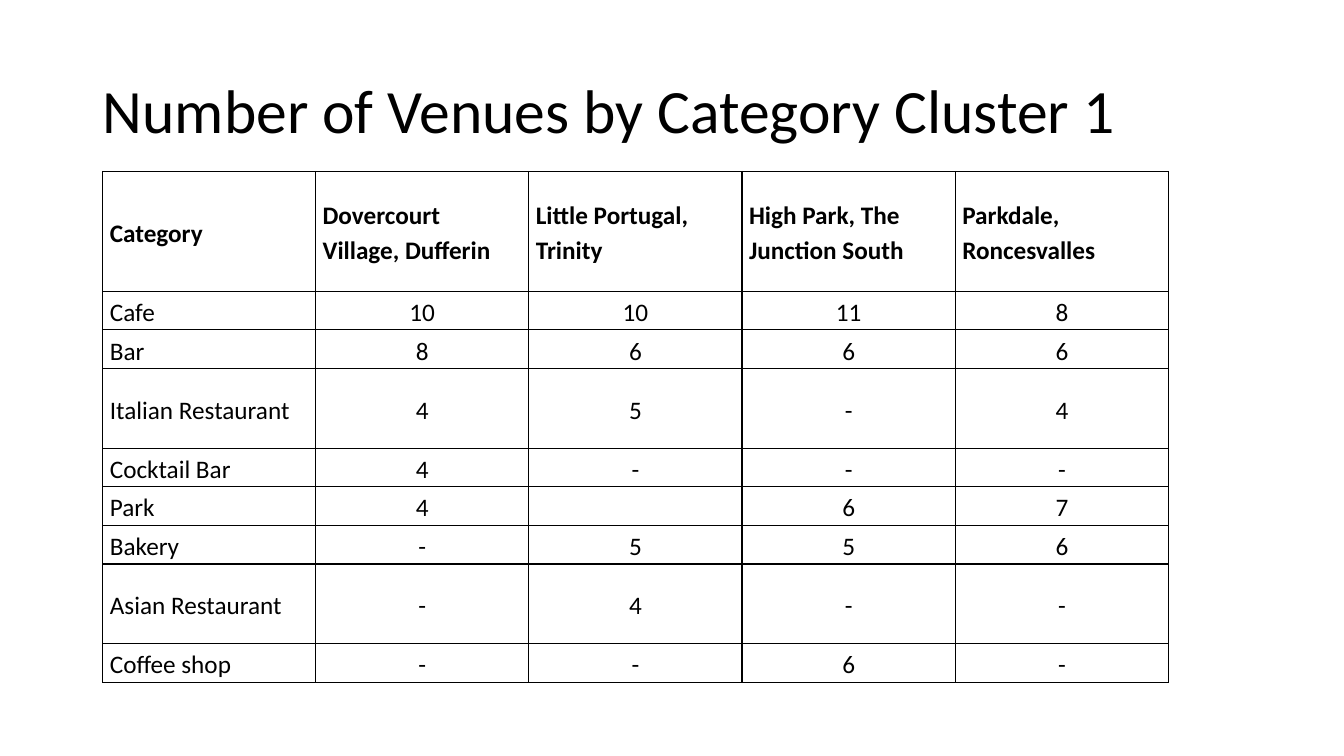
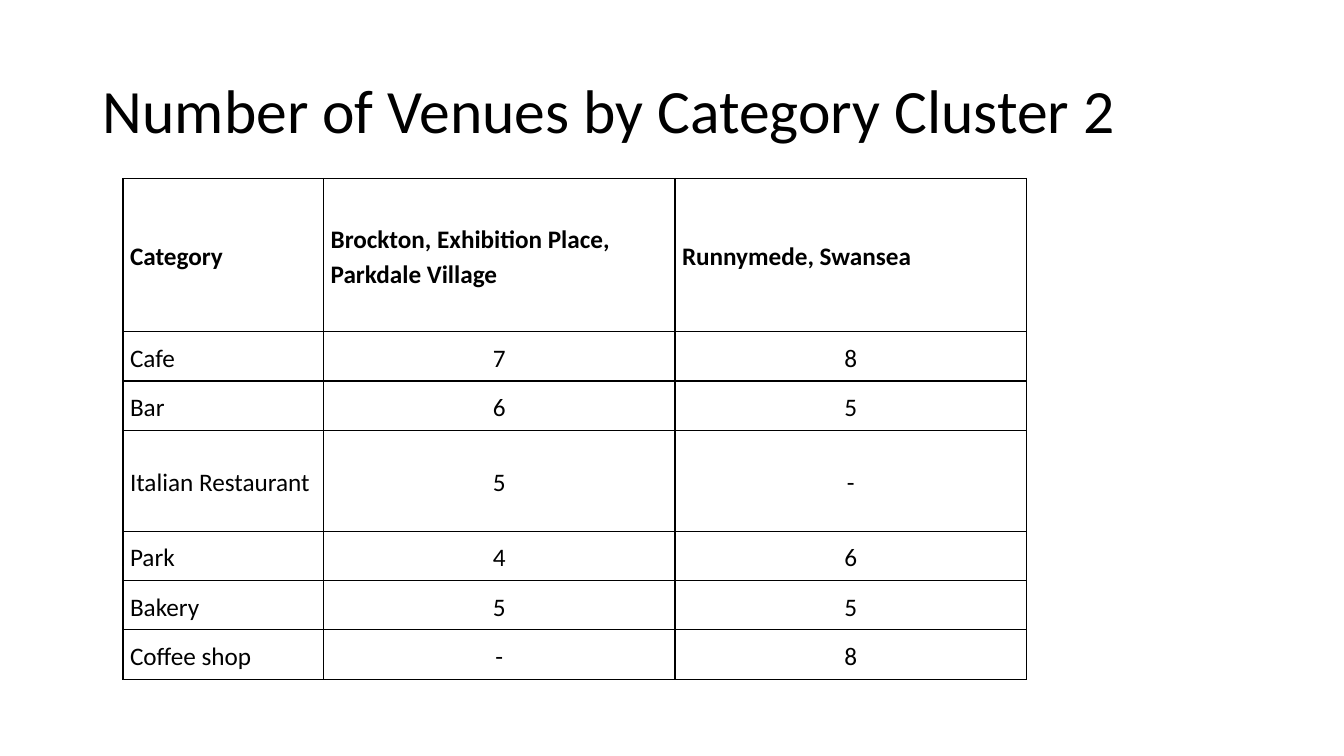
"""Build two slides of venue counts by category, one table per cluster."""
from lxml import etree
from pptx import Presentation
from pptx.dml.color import RGBColor
from pptx.enum import text
from pptx.oxml.ns import qn
from pptx.util import Inches, Pt

COLORS = {"ink": "000000", "line": "000000"}
FONT = "Calibri"
TALL_LABELS = ("Italian Restaurant", "Asian Restaurant")

CLUSTERS = [
    {
        "title": "Number of Venues by Category Cluster 1",
        "at": (1.02, 1.7, 10.57, 5.07),
        "first_col": 2.11, "header": 1.19, "tall": 0.79,
        "rows": [
            ("Category", "Dovercourt Village, Dufferin", "Little Portugal, Trinity",
             "High Park, The Junction South", "Parkdale, Roncesvalles"),
            ("Cafe", "10", "10", "11", "8"),
            ("Bar", "8", "6", "6", "6"),
            ("Italian Restaurant", "4", "5", "-", "4"),
            ("Cocktail Bar", "4", "-", "-", "-"),
            ("Park", "4", "", "6", "7"),
            ("Bakery", "-", "5", "5", "6"),
            ("Asian Restaurant", "-", "4", "-", "-"),
            ("Coffee shop", "-", "-", "6", "-"),
        ],
    },
    {
        "title": "Number of Venues by Category Cluster 2",
        "at": (1.22, 1.77, 8.96, 4.97),
        "first_col": 1.99, "header": 1.52, "tall": 1,
        "rows": [
            ("Category", "Brockton, Exhibition Place, Parkdale Village", "Runnymede, Swansea"),
            ("Cafe", "7", "8"),
            ("Bar", "6", "5"),
            ("Italian Restaurant", "5", "-"),
            ("Park", "4", "6"),
            ("Bakery", "5", "5"),
            ("Coffee shop", "-", "8"),
        ],
    },
]


def add_run(p, content, size, bold=False):
    r = p.add_run()
    r.text = content
    r.font.name = FONT
    r.font.size = Pt(size)
    r.font.bold = bold
    r.font.color.rgb = RGBColor.from_string(COLORS["ink"])


def add_borders(cell):
    tc_pr = cell._tc.get_or_add_tcPr()
    for side in ("a:lnL", "a:lnR", "a:lnT", "a:lnB"):
        ln = etree.SubElement(tc_pr, qn(side), w=str(Pt(1)))
        fill = etree.SubElement(ln, qn("a:solidFill"))
        etree.SubElement(fill, qn("a:srgbClr"), val=COLORS["line"])


prs = Presentation()
prs.slide_width = Inches(13.33)
prs.slide_height = Inches(7.5)

for cluster in CLUSTERS:
    s = prs.slides.add_slide(prs.slide_layouts[5])
    title = s.shapes.title
    title.left, title.top = Inches(0.92), Inches(0.4)
    title.width, title.height = Inches(11.5), Inches(1.45)
    tf = title.text_frame
    tf.vertical_anchor = text.MSO_ANCHOR.MIDDLE
    p = tf.paragraphs[0]
    p.alignment = text.PP_ALIGN.LEFT
    p.line_spacing = 0.9
    add_run(p, cluster["title"], 44)

    rows = cluster["rows"]
    left, top, width, height = cluster["at"]
    n_cols = len(rows[0])
    table = s.shapes.add_table(len(rows), n_cols, Inches(left), Inches(top),
                               Inches(width), Inches(height)).table
    table.first_row = False
    table.horz_banding = False

    value_col = (width - cluster["first_col"]) / (n_cols - 1)
    for i, col in enumerate(table.columns):
        col.width = Inches(value_col if i else cluster["first_col"])

    n_tall = sum(row[0] in TALL_LABELS for row in rows)
    rest = height - cluster["header"] - n_tall * cluster["tall"]
    short = rest / (len(rows) - 1 - n_tall)

    for i, row in enumerate(rows):
        if i == 0:
            row_height = cluster["header"]
        else:
            row_height = cluster["tall"] if row[0] in TALL_LABELS else short
        table.rows[i].height = Inches(row_height)
        for j, value in enumerate(row):
            cell = table.cell(i, j)
            add_borders(cell)
            cell.fill.background()
            cell.vertical_anchor = text.MSO_ANCHOR.MIDDLE
            cell.margin_left = cell.margin_right = Inches(0.07)
            cell.margin_top = cell.margin_bottom = 0
            p = cell.text_frame.paragraphs[0]
            p.line_spacing = 1.15
            p.alignment = text.PP_ALIGN.CENTER if i and j else text.PP_ALIGN.LEFT
            if value:
                add_run(p, value, 18, bold=i == 0)

prs.save("out.pptx")
